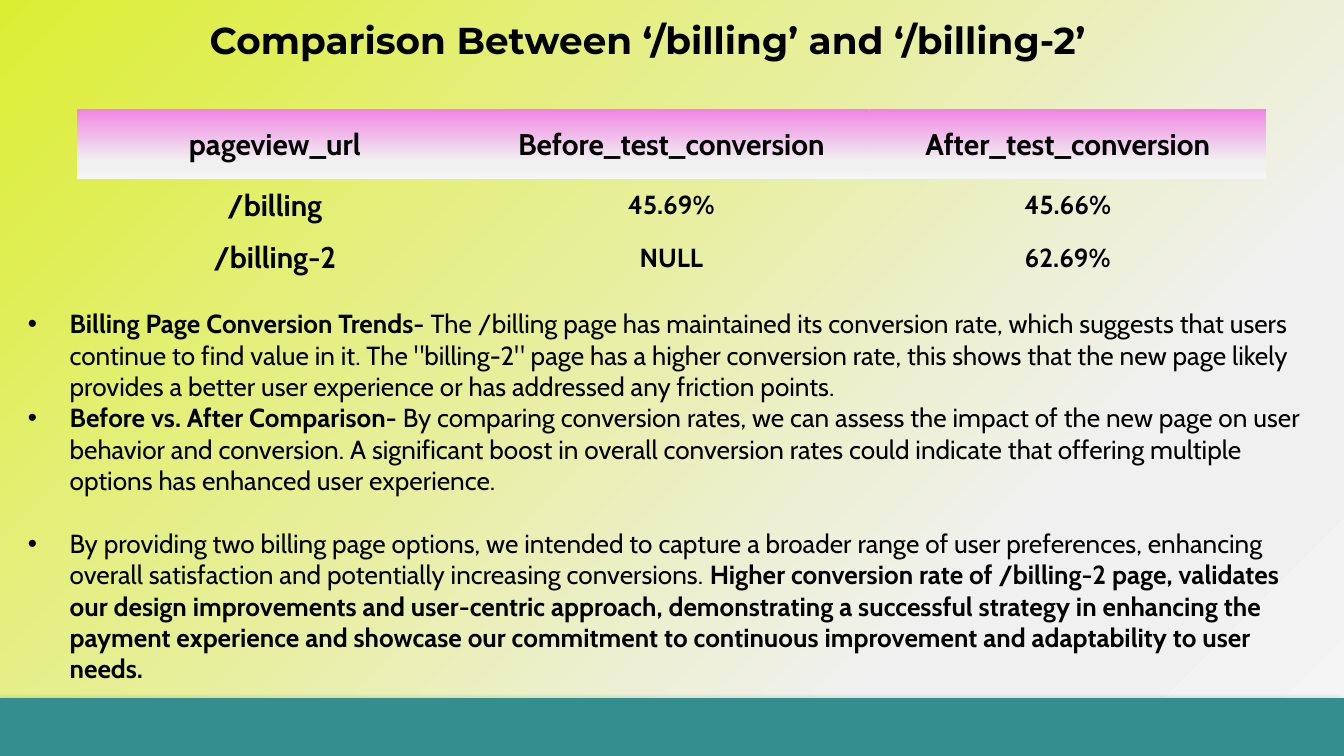
"""Build the billing page comparison slide."""
from dataclasses import dataclass

from pptx import Presentation
from pptx.dml.color import RGBColor
from pptx.enum.shapes import MSO_SHAPE
from pptx.enum.text import MSO_ANCHOR, PP_ALIGN
from pptx.oxml import parse_xml
from pptx.oxml.ns import nsdecls, qn
from pptx.slide import Slide
from pptx.util import Inches, Pt


@dataclass(frozen=True)
class Theme:
    ink: str = "000000"
    band: str = "348E90"
    lime: str = "DCEE32"
    pink: str = "F084E3"
    fade: tuple = ((74, "F0F0F0"), (83, "F0F0F0"), (100, "F5F5F5"))
    head: str = "Montserrat"
    body: str = "Cabin"
    title: int = 20
    label: int = 16
    text: int = 14


@dataclass(frozen=True)
class Run:
    text: str
    bold: bool = False


@dataclass(frozen=True)
class Point:
    runs: tuple
    gap: float = 0


@dataclass(frozen=True)
class Row:
    cells: tuple
    high: float
    sizes: tuple


LOOK = Theme()
WIDE = Inches(10)
TALL = WIDE * 9 // 16
PLAIN = "{2D5ABB26-0587-4C30-8999-92F81FD0307C}"
TITLE = "Comparison Between ‘/billing’ and ‘/billing-2’"
BIG, SMALL = LOOK.label, LOOK.text
ROWS = (
    Row(("pageview_url", "Before_test_conversion", "After_test_conversion"), 0.52, (BIG, BIG, BIG)),
    Row(("/billing", "45.69%", "45.66%"), 0.39, (BIG, SMALL, SMALL)),
    Row(("/billing-2", "NULL", "62.69%"), 0.39, (BIG, SMALL, SMALL)),
)
POINTS = (
    Point((
        Run("Billing Page Conversion Trends- ", True),
        Run("The /billing page has maintained its conversion rate, which suggests that users "
            "continue to find value in it. The \"billing-2\" page has a higher conversion rate, "
            "this shows that the new page likely provides a better user experience or has "
            "addressed any friction points."),
    )),
    Point((
        Run("Before vs. After Comparison- ", True),
        Run("By comparing conversion rates, we can assess the impact of the new page on user "
            "behavior and conversion. A significant boost in overall conversion rates could "
            "indicate that offering multiple options has enhanced user experience."),
    )),
    Point((
        Run("By providing two billing page options, we intended to capture a broader range of "
            "user preferences, enhancing overall satisfaction and potentially increasing "
            "conversions. "),
        Run("Higher conversion rate of /billing-2 page, validates our design improvements and "
            "user-centric approach, demonstrating a successful strategy in enhancing the payment "
            "experience and showcase our commitment to continuous improvement and adaptability "
            "to user needs.", True),
    ), 16.8),
)


def add_run(para, run: Run, size: int, face: str) -> None:
    """Add one styled run to a paragraph."""
    part = para.add_run()
    part.text = run.text
    font = part.font
    font.size, font.name, font.bold = Pt(size), face, run.bold
    font.color.rgb = RGBColor.from_string(LOOK.ink)


def set_stops(root, first: str) -> None:
    """Give every gradient below root the fading colour stops."""
    for stops in root.iter(qn("a:gsLst")):
        for old in list(stops):
            stops.remove(old)
        for spot, tint in ((0, first), *LOOK.fade):
            stops.append(parse_xml(
                f'<a:gs {nsdecls("a")} pos="{spot * 1000}"><a:srgbClr val="{tint}"/></a:gs>'))


def set_grade(fill, angle: int) -> None:
    """Turn a fill into a linear gradient."""
    fill.gradient()
    fill.gradient_angle = angle


def draw_band(slide: Slide) -> None:
    """Draw the foot band with its soft shadow."""
    high = Inches(0.43)
    band = slide.shapes.add_shape(MSO_SHAPE.RECTANGLE, 0, TALL - high, WIDE, high)
    band.fill.solid()
    band.fill.fore_color.rgb = RGBColor.from_string(LOOK.band)
    band.line.fill.background()
    band.shadow.inherit = False
    glow = band.element.spPr.find(qn("a:effectLst"))
    glow.append(parse_xml(
        f'<a:outerShdw {nsdecls("a")} blurRad="{Pt(4)}" dist="{Pt(3)}" dir="8100000" '
        f'algn="tr" rotWithShape="0"><a:srgbClr val="{LOOK.ink}">'
        '<a:alpha val="40000"/></a:srgbClr></a:outerShdw>'))


def draw_title(slide: Slide) -> None:
    """Place and fill the title."""
    title = slide.shapes.title
    title.left, title.top = Inches(1.46), Inches(0.08)
    title.width, title.height = Inches(7.87), Inches(0.44)
    frame = title.text_frame
    frame.vertical_anchor = MSO_ANCHOR.TOP
    para = frame.paragraphs[0]
    para.alignment = PP_ALIGN.LEFT
    add_run(para, Run(TITLE, True), LOOK.title, LOOK.head)


def draw_table(slide: Slide, rows: tuple) -> None:
    """Draw the table of conversion rates."""
    count = len(rows[0].cells)
    frame = slide.shapes.add_table(
        len(rows), count, Inches(0.57), Inches(0.81), Inches(2.95 * count),
        Inches(sum(row.high for row in rows)))
    table = frame.table
    frame.element.find(".//" + qn("a:tableStyleId")).text = PLAIN
    for y, row in enumerate(rows):
        table.rows[y].height = Inches(row.high)
        for x, (text, size) in enumerate(zip(row.cells, row.sizes)):
            cell = table.cell(y, x)
            cell.margin_left = cell.margin_right = cell.margin_top = Inches(0.01)
            cell.margin_bottom = 0
            cell.vertical_anchor = MSO_ANCHOR.MIDDLE
            if y == 0:
                set_grade(cell.fill, 270)
            else:
                cell.fill.background()
            para = cell.text_frame.paragraphs[0]
            para.alignment = PP_ALIGN.CENTER
            add_run(para, Run(text, True), size, LOOK.body)
    set_stops(frame.element, LOOK.pink)


def draw_points(slide: Slide, points: tuple) -> None:
    """Write the bulleted findings."""
    box = slide.shapes.add_textbox(Inches(0.11), Inches(2.24), Inches(9.79), Inches(2.93))
    frame = box.text_frame
    frame.word_wrap = True
    for at, point in enumerate(points):
        para = frame.add_paragraph() if at else frame.paragraphs[0]
        if point.gap:
            para.space_before = Pt(point.gap)
        props = para._p.get_or_add_pPr()
        props.set("marL", str(Inches(0.31)))
        props.set("indent", str(Inches(-0.31)))
        for mark in (f'<a:buClr {nsdecls("a")}><a:srgbClr val="{LOOK.ink}"/></a:buClr>',
                     f'<a:buFont {nsdecls("a")} typeface="Arial"/>',
                     f'<a:buChar {nsdecls("a")} char="•"/>'):
            props.append(parse_xml(mark))
        for run in point.runs:
            add_run(para, run, LOOK.text, LOOK.body)


def main() -> None:
    """Build and save the slide."""
    deck = Presentation()
    deck.slide_width, deck.slide_height = WIDE, TALL
    slide = deck.slides.add_slide(deck.slide_layouts[5])
    set_grade(slide.background.fill, 315)
    set_stops(slide.element, LOOK.lime)
    draw_band(slide)
    draw_title(slide)
    draw_table(slide, ROWS)
    draw_points(slide, POINTS)
    deck.save("out.pptx")


if __name__ == "__main__":
    main()
